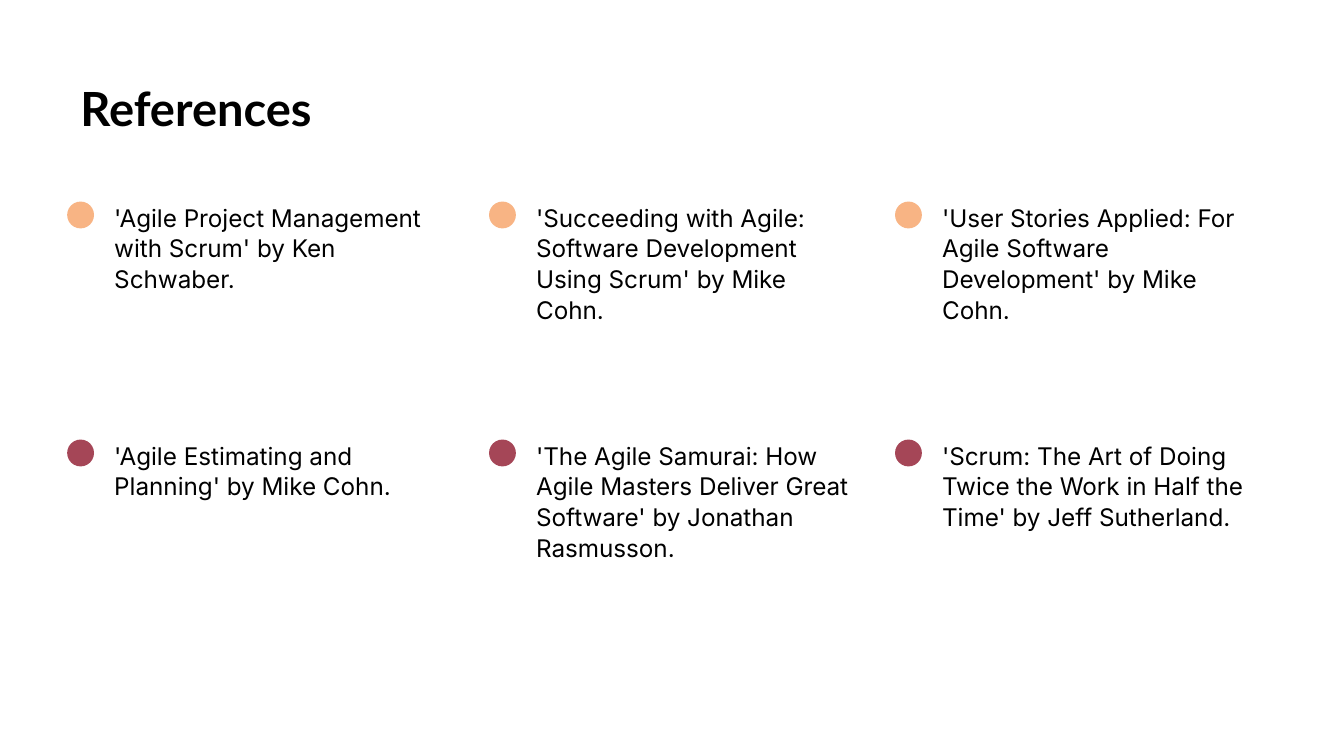
from pptx import Presentation
from pptx.dml.color import RGBColor
from pptx.enum.shapes import MSO_SHAPE
from pptx.enum.text import MSO_ANCHOR
from pptx.util import Pt

TITLE = "References"
REFERENCE_ROWS = [
    ["'Agile Project Management with Scrum' by Ken Schwaber.",
     "'Succeeding with Agile: Software Development Using Scrum' by Mike Cohn.",
     "'User Stories Applied: For Agile Software Development' by Mike Cohn."],
    ["'Agile Estimating and Planning' by Mike Cohn.",
     "'The Agile Samurai: How Agile Masters Deliver Great Software' by Jonathan Rasmusson.",
     "'Scrum: The Art of Doing Twice the Work in Half the Time' by Jeff Sutherland."],
]

THEME = {
    "background": RGBColor.from_string("FFFFFF"),
    "text": RGBColor.from_string("000000"),
    "row_dots": [RGBColor.from_string("F8B484"), RGBColor.from_string("A54657")],
    "title_font": "Lato",
    "title_size": 25.2,
    "body_font": "Inter",
    "body_size": 13,
}

SLIDE_WIDTH, SLIDE_HEIGHT = 720, 405
MARGIN = 36
COLUMN_LEFTS = [MARGIN, 262, 479.5]
ROW_TOPS = [108, 235.5]
DOT_SIZE = 14.4
REFERENCE_WIDTH, REFERENCE_HEIGHT = 190, 90


def add_text(slide, text, box, insets, font_name, font_size, bold=False):
    """Add a wrapped text box; box and insets are in points, insets from left clockwise."""
    text_frame = slide.shapes.add_textbox(*map(Pt, box)).text_frame
    text_frame.word_wrap = True
    (text_frame.margin_left, text_frame.margin_top,
     text_frame.margin_right, text_frame.margin_bottom) = map(Pt, insets)
    text_frame.text = text
    font = text_frame.paragraphs[0].runs[0].font
    font.name = font_name
    font.size = Pt(font_size)
    font.bold = bold
    font.color.rgb = THEME["text"]
    return text_frame


def add_title(slide):
    box = (MARGIN, 35.3, SLIDE_WIDTH - 2 * MARGIN, 45)
    text_frame = add_text(slide, TITLE, box, (7.2, 7.2, 7.2, 7.2),
                          THEME["title_font"], THEME["title_size"], bold=True)
    text_frame.vertical_anchor = MSO_ANCHOR.MIDDLE


def add_reference(slide, text, left, top, dot_color):
    dot = slide.shapes.add_shape(
        MSO_SHAPE.OVAL, Pt(left), Pt(top), Pt(DOT_SIZE), Pt(DOT_SIZE))
    dot.shadow.inherit = False
    dot.fill.solid()
    dot.fill.fore_color.rgb = dot_color
    dot.line.fill.background()

    box = (left + DOT_SIZE, top, REFERENCE_WIDTH, REFERENCE_HEIGHT)
    text_frame = add_text(slide, text, box, (10.8, 0, 7.2, 7.2),
                          THEME["body_font"], THEME["body_size"])
    paragraph = text_frame.paragraphs[0]
    paragraph.line_spacing = 1.05
    paragraph.space_after = Pt(10)


def main():
    presentation = Presentation()
    presentation.slide_width = Pt(SLIDE_WIDTH)
    presentation.slide_height = Pt(SLIDE_HEIGHT)
    slide = presentation.slides.add_slide(presentation.slide_layouts[6])
    slide.background.fill.solid()
    slide.background.fill.fore_color.rgb = THEME["background"]

    add_title(slide)
    for references, top, dot_color in zip(REFERENCE_ROWS, ROW_TOPS, THEME["row_dots"]):
        for reference, left in zip(references, COLUMN_LEFTS):
            add_reference(slide, reference, left, top, dot_color)

    presentation.save("out.pptx")


if __name__ == "__main__":
    main()
